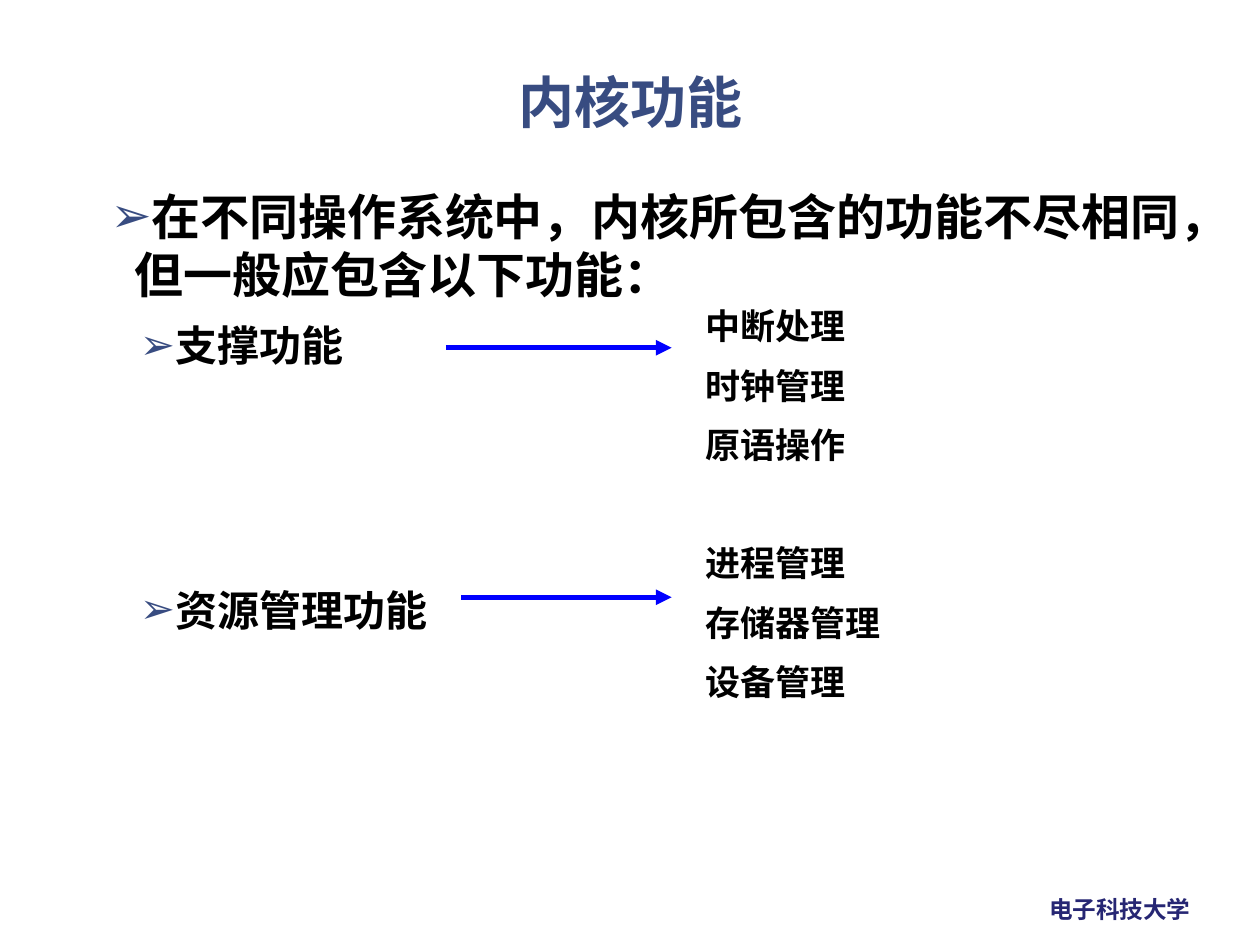
from dataclasses import dataclass

from lxml.etree import SubElement
from pptx import Presentation
from pptx.dml.color import RGBColor
from pptx.enum.shapes import MSO_CONNECTOR as Connector
from pptx.enum.text import MSO_ANCHOR as Anchor, PP_ALIGN as Align
from pptx.oxml.ns import qn
from pptx.util import Cm, Pt


@dataclass(frozen=True)
class Theme:
    heading_font: str = "Noto Sans CJK SC"
    body_font: str = "Arial"
    heading: str = "384C81"
    text: str = "000000"
    arrow: str = "0000FF"
    footer: str = "262673"
    title_size: float = 32
    lead_size: float = 28
    topic_size: float = 24
    detail_size: float = 20
    footer_size: float = 13.5
    line_height: float = 1.2
    arrow_width: float = 3


THEME = Theme()


def add_text_box(slide, left, top, width, height, wrap=True):
    frame = slide.shapes.add_textbox(Cm(left), Cm(top), Cm(width), Cm(height)).text_frame
    frame.word_wrap = wrap
    return frame


def write(paragraph, text, size, color=THEME.text, font=THEME.body_font, before=0):
    """Add one bold run, with a fixed line height."""
    paragraph.line_spacing = Pt(round(size * THEME.line_height, 1))
    paragraph.space_before = Pt(before)
    run = paragraph.add_run()
    run.text = text
    run.font.size = Pt(size)
    run.font.bold = True
    run.font.name = font
    run.font.color.rgb = RGBColor.from_string(color)
    # East Asian glyphs take the same font
    SubElement(run.font._element, qn("a:ea"), typeface=font)


def add_bullet(paragraph, left, hanging):
    properties = paragraph._p.get_or_add_pPr()
    properties.set("marL", str(Cm(left)))
    properties.set("indent", str(-Cm(hanging)))
    color = SubElement(properties, qn("a:buClr"))
    SubElement(color, qn("a:srgbClr"), val=THEME.heading)
    SubElement(properties, qn("a:buFont"), typeface=THEME.body_font)
    SubElement(properties, qn("a:buChar"), char="➢")


def add_title(slide, text):
    frame = add_text_box(slide, 1.73, 1.27, 21.95, 1.52)
    frame.vertical_anchor = Anchor.MIDDLE
    paragraph = frame.paragraphs[0]
    paragraph.alignment = Align.CENTER
    write(paragraph, text, THEME.title_size, THEME.heading, THEME.heading_font)


def add_outline(slide, lead, topics):
    """Lead sentence, then (topic, space before) pairs one level down."""
    frame = add_text_box(slide, 1.98, 3.63, 22.43, 14.33)
    paragraph = frame.paragraphs[0]
    add_bullet(paragraph, 0.48, 0.48)
    write(paragraph, lead, THEME.lead_size)
    for topic, before in topics:
        paragraph = frame.add_paragraph()
        paragraph.level = 1
        add_bullet(paragraph, 0.97, 0.38)
        write(paragraph, topic, THEME.topic_size, before=before)


def add_details(slide, top, items):
    frame = add_text_box(slide, 13.97, top, 5, 3.68)
    for index, item in enumerate(items):
        paragraph = frame.add_paragraph() if index else frame.paragraphs[0]
        before = THEME.detail_size / 2 if index else 0
        write(paragraph, item, THEME.detail_size, before=before)


def add_arrow(slide, start, y, end=13.54):
    arrow = slide.shapes.add_connector(Connector.STRAIGHT, Cm(start), Cm(y), Cm(end), Cm(y))
    arrow.line.color.rgb = RGBColor.from_string(THEME.arrow)
    arrow.line.width = Pt(THEME.arrow_width)
    SubElement(arrow.line._get_or_add_ln(), qn("a:tailEnd"), type="triangle")
    SubElement(arrow._element.spPr, qn("a:effectLst"))


def add_footer(slide, text):
    frame = add_text_box(slide, 20.9, 17.91, 3.4, 0.84, wrap=False)
    write(frame.paragraphs[0], text, THEME.footer_size, THEME.footer, THEME.heading_font)


def main():
    presentation = Presentation()
    presentation.slide_width, presentation.slide_height = Cm(25.4), Cm(19.05)
    slide = presentation.slides.add_slide(presentation.slide_layouts[6])

    # Heading and outline
    add_footer(slide, "电子科技大学")
    add_title(slide, "内核功能")
    add_outline(
        slide,
        "在不同操作系统中，内核所包含的功能不尽相同，但一般应包含以下功能：",
        [("支撑功能", 9), ("资源管理功能", 122.4)],
    )

    # Each topic points to its details
    add_arrow(slide, 8.99, 7.01)
    add_details(slide, 6.02, ["中断处理", "时钟管理", "原语操作"])
    add_arrow(slide, 9.3, 12.04)
    add_details(slide, 10.8, ["进程管理", "存储器管理", "设备管理"])

    presentation.save("out.pptx")


if __name__ == "__main__":
    main()
